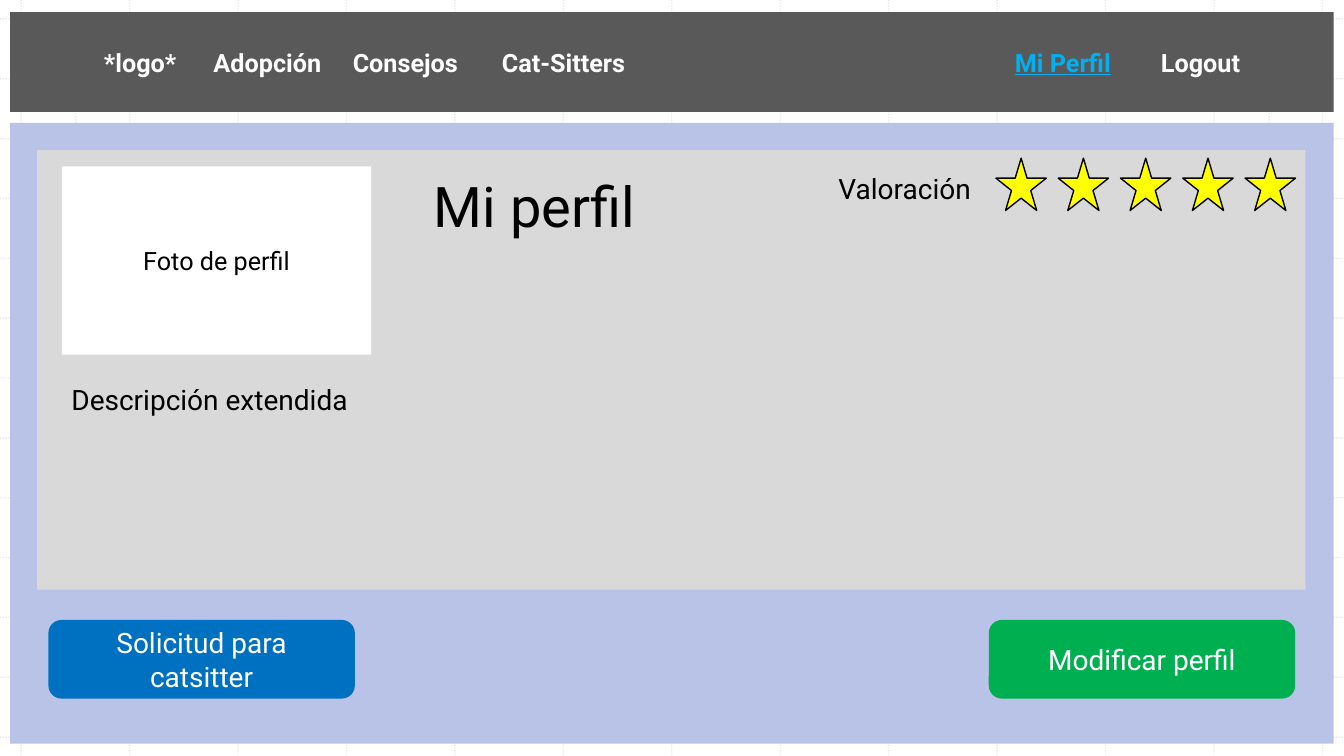
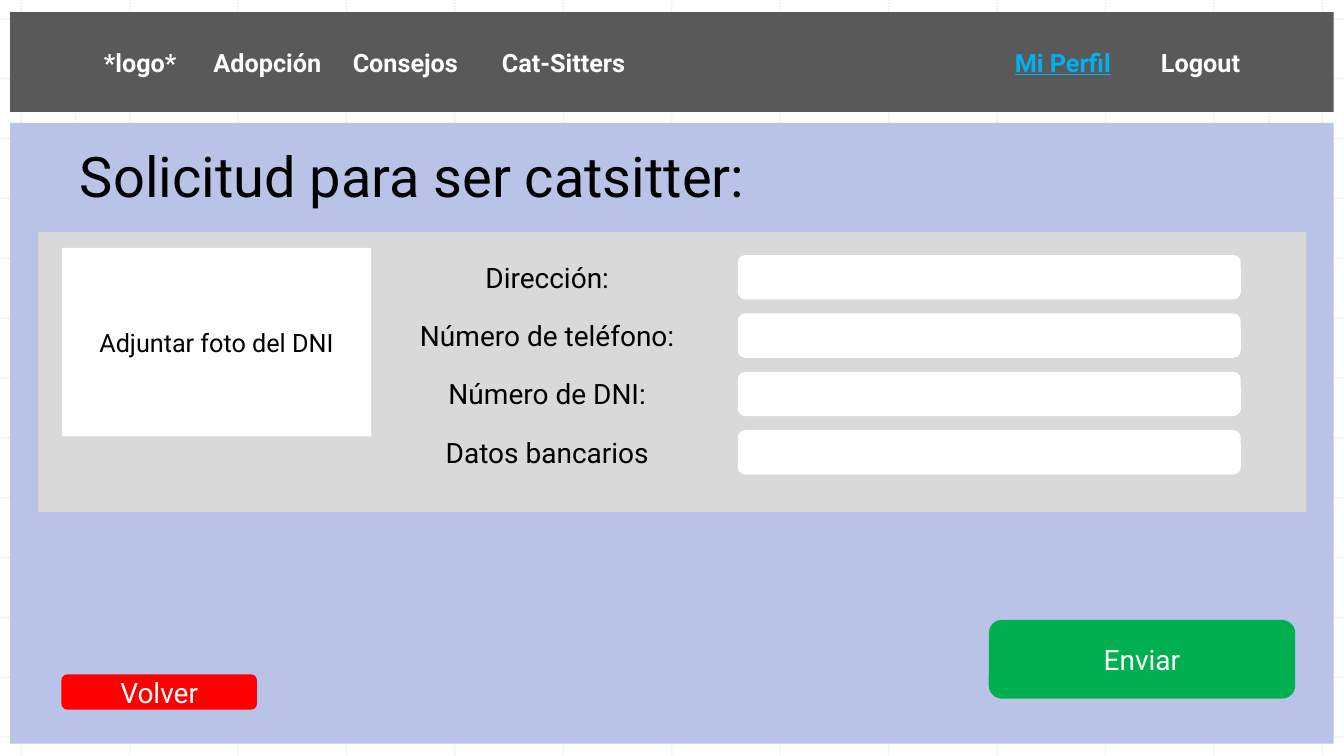
from dataclasses import dataclass
from typing import Any, Optional

from lxml import etree
from pptx import Presentation
from pptx.dml.color import RGBColor
from pptx.enum.dml import MSO_LINE
from pptx.enum.shapes import MSO_CONNECTOR, MSO_SHAPE
from pptx.enum.text import MSO_ANCHOR, MSO_AUTO_SIZE, PP_ALIGN
from pptx.oxml.ns import qn
from pptx.util import Pt

BLACK = RGBColor(0x00, 0x00, 0x00)
WHITE = RGBColor(0xFF, 0xFF, 0xFF)
DARK = RGBColor(0x59, 0x59, 0x59)
GREY = RGBColor(0xD9, 0xD9, 0xD9)
DOTS = RGBColor(0xBC, 0xBC, 0xBC)
LILAC = RGBColor(0xB8, 0xC3, 0xE7)
BLUE = RGBColor(0x00, 0x70, 0xC0)
SKY = RGBColor(0x00, 0xB0, 0xF0)
GREEN = RGBColor(0x00, 0xB0, 0x50)
RED = RGBColor(0xFF, 0x00, 0x00)
YELLOW = RGBColor(0xFF, 0xFF, 0x00)

RECT = MSO_SHAPE.RECTANGLE
ROUND = MSO_SHAPE.ROUNDED_RECTANGLE
STAR = MSO_SHAPE.STAR_5_POINT
LINE = MSO_CONNECTOR.STRAIGHT
DOTTED = MSO_LINE.ROUND_DOT
LEFT = PP_ALIGN.LEFT
CENTER = PP_ALIGN.CENTER
MIDDLE = MSO_ANCHOR.MIDDLE
TOP = MSO_ANCHOR.TOP
GROW = MSO_AUTO_SIZE.SHAPE_TO_FIT_TEXT

FONT = "Roboto"
WIDTH, HEIGHT = 960, 540
GRID_X, STEP_X = 15.1, 77.46
GRID_Y, STEP_Y = 13.5, 42.75
COUNT = 13
MARGINS = (54, 906.5)
EDGE, WIDE = 7.2, 945.4
INSET = 67.1


@dataclass(frozen=True)
class Box:
    x: float
    y: float
    w: float
    h: float


@dataclass(frozen=True)
class Block:
    box: Box
    fill: RGBColor
    text: str = ""
    size: float = 20
    ink: RGBColor = WHITE
    kind: Any = RECT
    edge: Optional[RGBColor] = None


@dataclass(frozen=True)
class Label:
    box: Box
    text: str
    size: float = 20
    align: Any = LEFT
    wrap: bool = False


@dataclass(frozen=True)
class Link:
    text: str
    stop: float
    ink: RGBColor = WHITE
    line: bool = False


LINKS = (
    Link("*logo*", 0),
    Link("Adopción", 78.2),
    Link("Consejos", 177.7),
    Link("Cat-Sitters", 284.2),
    Link("Mi Perfil", 650.6, SKY, True),
    Link("Logout", 755, WHITE),
)
BACK = Block(Box(EDGE, 87.8, WIDE, 443.5), LILAC)
BAR = Block(Box(EDGE, 8.6, WIDE, 71.3), DARK)


def photo(top: float, text: str) -> Block:
    return Block(Box(44.2, top, 221, 134.6), WHITE, text, 18, BLACK)


def button(left: float, fill: RGBColor, text: str) -> Block:
    return Block(Box(left, 442.8, 218.9, 56.2), fill, text, kind=ROUND)


def star(rank: int) -> Block:
    box = Box(711.4 + 44.5 * rank, 113, 36, 37.4)
    return Block(box, YELLOW, kind=STAR, edge=BLACK)


def place(box: Box) -> tuple:
    return Pt(box.x), Pt(box.y), Pt(box.w), Pt(box.h)


def write(para: Any, text: str, size: float, ink: RGBColor, **more: Any) -> None:
    run = para.add_run()
    run.text = text
    form = {"name": FONT, "size": Pt(size), **more}
    for key, value in form.items():
        setattr(run.font, key, value)
    run.font.color.rgb = ink


def add_block(slide: Any, block: Block) -> Any:
    shape = slide.shapes.add_shape(block.kind, *place(block.box))
    shape.shadow.inherit = False
    shape.fill.solid()
    shape.fill.fore_color.rgb = block.fill
    if block.edge is None:
        shape.line.fill.background()
    else:
        shape.line.color.rgb = block.edge
        shape.line.width = Pt(1)
    frame = shape.text_frame
    frame.word_wrap = True
    frame.vertical_anchor = MIDDLE
    if block.text:
        para = frame.paragraphs[0]
        para.alignment = CENTER
        write(para, block.text, block.size, block.ink)
    return shape


def add_label(slide: Any, label: Label) -> None:
    frame = slide.shapes.add_textbox(*place(label.box)).text_frame
    form = {"word_wrap": label.wrap, "auto_size": GROW, "vertical_anchor": TOP}
    for key, value in form.items():
        setattr(frame, key, value)
    para = frame.paragraphs[0]
    para.alignment = label.align
    write(para, label.text, label.size, BLACK)


def add_bar(slide: Any) -> None:
    frame = add_block(slide, BAR).text_frame
    frame.margin_left = Pt(INSET)
    para = frame.paragraphs[0]
    para.alignment = LEFT
    props = para._p.get_or_add_pPr()
    tabs = etree.SubElement(props, qn("a:tabLst"))
    for link in LINKS:
        if link.stop:
            etree.SubElement(tabs, qn("a:tab"), pos=str(Pt(link.stop)), algn="l")
            write(para, "\t", 18, WHITE, bold=True)
        write(para, link.text, 18, link.ink, bold=True, underline=link.line)


def add_line(slide: Any, x1: float, y1: float, x2: float, y2: float) -> Any:
    line = slide.shapes.add_connector(LINE, Pt(x1), Pt(y1), Pt(x2), Pt(y2))
    form = {"width": Pt(1), "dash_style": DOTTED}
    for key, value in form.items():
        setattr(line.line, key, value)
    line.line.color.rgb = DOTS
    tint = line.element.find(".//" + qn("a:srgbClr"))
    etree.SubElement(tint, qn("a:alpha"), val="30000")
    etree.SubElement(line.element.spPr, qn("a:effectLst"))
    return line


def add_grid(slide: Any) -> None:
    ends = []
    for rank in range(COUNT):
        x, y = GRID_X + STEP_X * rank, GRID_Y + STEP_Y * rank
        ends += [(x, 0, x, HEIGHT), (0, y, WIDTH, y)]
    ends += [(x, GRID_Y, x, HEIGHT - GRID_Y) for x in MARGINS]
    tree = slide.slide_layout.shapes.element
    for end in ends:
        tree.append(add_line(slide, *end).element)


def add_all(slide: Any, items: list) -> None:
    for item in items:
        if isinstance(item, Block):
            add_block(slide, item)
        else:
            add_label(slide, item)


def add_profile(slide: Any) -> None:
    add_all(slide, [
        BACK,
        Block(Box(26.6, 107.3, 905.8, 313.9), GREY),
        Label(Box(298.8, 118.8, 165.6, 99.4), "Mi perfil", 40, CENTER),
        photo(118.8, "Foto de perfil"),
        Label(Box(591.8, 118.8, 111.6, 31.7), "Valoración"),
        *[star(rank) for rank in range(5)],
        Label(Box(43.9, 270, 215.3, 31.7), "Descripción extendida"),
        button(706.3, GREEN, "Modificar perfil"),
        button(34.6, BLUE, "Solicitud para catsitter"),
    ])
    add_bar(slide)


def add_request(slide: Any) -> None:
    add_all(slide, [
        BACK,
        Block(Box(27.4, 165.6, 905.8, 200.2), GREY),
        photo(177.1, "Adjuntar foto del DNI"),
        button(706.3, GREEN, "Enviar"),
        Block(Box(43.9, 481.7, 139.7, 25.2), RED, "Volver", kind=ROUND),
        Label(Box(41, 97.9, 506.9, 55.4), "Solicitud para ser catsitter:", 40, CENTER),
    ])
    names = ("Dirección:", "Número de teléfono:", "Número de DNI:", "Datos bancarios")
    for rank, name in enumerate(names):
        top = 182.2 + 41.7 * rank
        add_label(slide, Label(Box(284.4, top, 213.1, 31.7), name, 20, CENTER, True))
        add_block(slide, Block(Box(527, top, 359.3, 31.7), WHITE, kind=ROUND))
    add_bar(slide)


def main() -> None:
    deck = Presentation()
    deck.slide_width, deck.slide_height = Pt(WIDTH), Pt(HEIGHT)
    blank = deck.slide_layouts[6]
    for hold in list(blank.placeholders):
        hold.element.getparent().remove(hold.element)
    first = deck.slides.add_slide(blank)
    add_grid(first)
    add_profile(first)
    add_request(deck.slides.add_slide(blank))
    deck.save("out.pptx")


if __name__ == "__main__":
    main()
